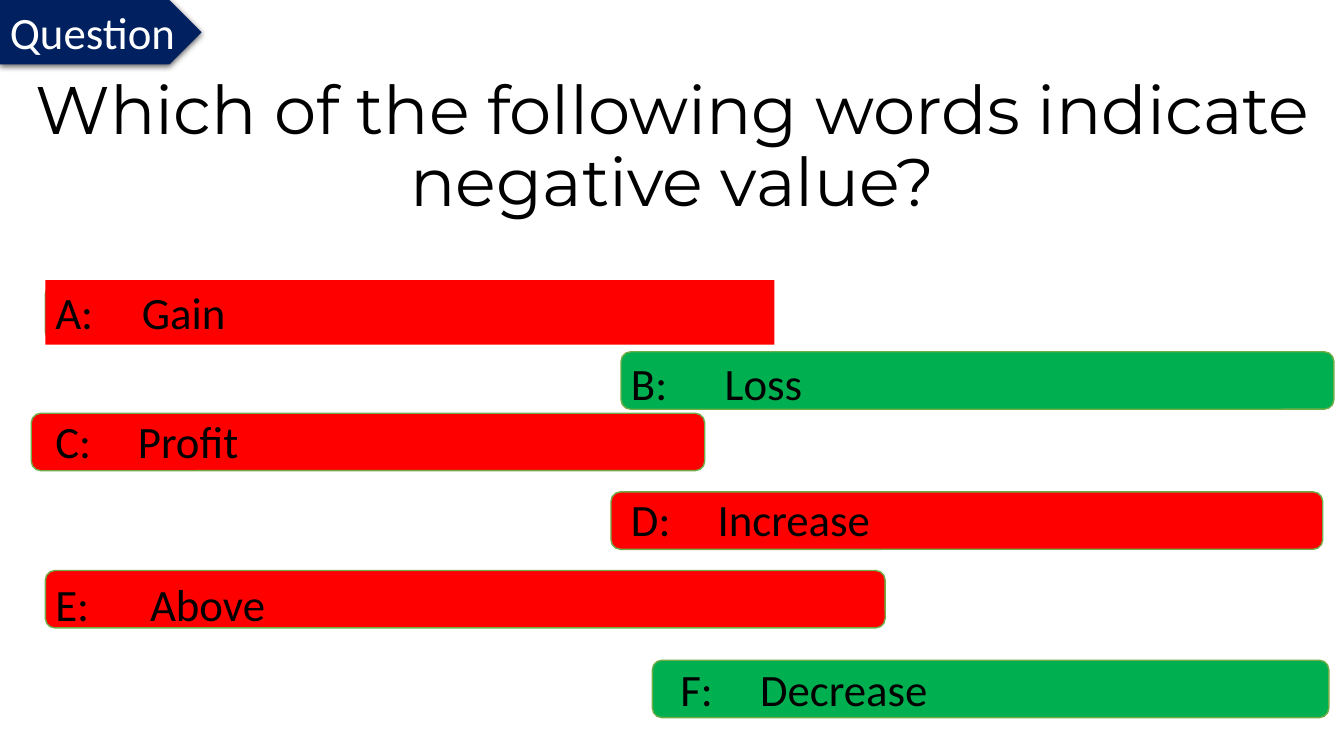
"""Build a quiz slide asking which words indicate negative value."""
from lxml.etree import SubElement
from pptx import Presentation
from pptx.dml.color import RGBColor
from pptx.enum.shapes import MSO_SHAPE
from pptx.enum.text import MSO_ANCHOR, PP_ALIGN
from pptx.oxml.ns import qn
from pptx.util import Inches, Pt

NAVY, RED, GREEN, EDGE = "002060", "FF0000", "00B050", "70AD47"
BLACK, WHITE = "000000", "FFFFFF"


def add_box(kind, left, top, width, height, fill, line=None):
    """Add a filled preset shape, outlined if a line colour is given."""
    sp = s.shapes.add_shape(kind, Inches(left), Inches(top), Inches(width), Inches(height))
    sp.shadow.inherit = False
    sp.fill.solid()
    sp.fill.fore_color.rgb = RGBColor.from_string(fill)
    if line:
        sp.line.color.rgb = RGBColor.from_string(line)
        sp.line.width = Pt(1)
    else:
        sp.line.fill.background()
    return sp


def add_text(sp, text, size, font, color, align=PP_ALIGN.LEFT, anchor=MSO_ANCHOR.TOP, tab=None):
    """Write one styled run into a shape, with an optional tab stop in inches."""
    tf = sp.text_frame
    tf.word_wrap = True
    tf.vertical_anchor = anchor
    p = tf.paragraphs[0]
    p.alignment = align
    if tab:
        tabs = SubElement(p._p.get_or_add_pPr(), qn("a:tabLst"))
        SubElement(tabs, qn("a:tab"), pos=str(Inches(tab)), algn="l")
    r = p.add_run()
    r.text = text
    r.font.size = Pt(size)
    r.font.name = font
    r.font.color.rgb = RGBColor.from_string(color)
    return p


prs = Presentation()
prs.slide_width, prs.slide_height = Inches(13.33), Inches(7.5)
s = prs.slides.add_slide(prs.slide_layouts[6])

title = s.shapes.add_textbox(Inches(0.08), Inches(0.75), Inches(13.18), Inches(1.45))
p = add_text(title, "Which of the following words indicate negative value?", 48,
             "Montserrat", BLACK, PP_ALIGN.CENTER, MSO_ANCHOR.MIDDLE)
p.line_spacing = 0.9

tag = add_box(MSO_SHAPE.PENTAGON, 0, 0, 2, 0.64, NAVY)
add_text(tag, "Question", 32, "Calibri", WHITE)
tag.text_frame.word_wrap = False
effects = tag._element.spPr.find(qn("a:effectLst"))
shadow = SubElement(effects, qn("a:outerShdw"), blurRad=str(Pt(4.5)), dist=str(Pt(1.5)),
                    dir="5400000", algn="ctr", rotWithShape="0")
shade = SubElement(shadow, qn("a:srgbClr"), val=BLACK)
SubElement(shade, qn("a:alpha"), val="63000")

# letter, word, bar (left, top, width, fill), label (left, top, width), tab
answers = [
    ("A", "Gain", (0.45, 2.82, 7.17, GREEN), (0.45, 2.78, 7.23), 0.86),
    ("C", "Profit", (0.31, 4.1, 6.68, RED), (0.45, 4.06, 8.4), 0.82),
    ("B", "Loss", (6.16, 3.49, 7.07, GREEN), (6.16, 3.48, 7.1), 0.93),
    ("D", "Increase", (6.06, 4.88, 7.06, RED), (6.16, 4.83, 6.54), 0.86),
    ("E", "Above", (0.45, 5.66, 8.33, RED), (0.45, 5.67, 8.33), 0.94),
    ("F", "Decrease", (6.47, 6.55, 6.71, GREEN), (6.65, 6.52, 6.69), 0.79),
]
for letter, word, (left, top, width, fill), (x, y, w), tab in answers:
    add_box(MSO_SHAPE.ROUNDED_RECTANGLE, left, top, width, 0.57, fill, EDGE)
    if letter == "A":
        label = add_box(MSO_SHAPE.RECTANGLE, x, y, w, 0.64, RED)
    else:
        label = s.shapes.add_textbox(Inches(x), Inches(y), Inches(w), Inches(0.64))
    add_text(label, f"{letter}:\t{word}", 32, "Calibri", BLACK, tab=tab)

prs.save("out.pptx")
